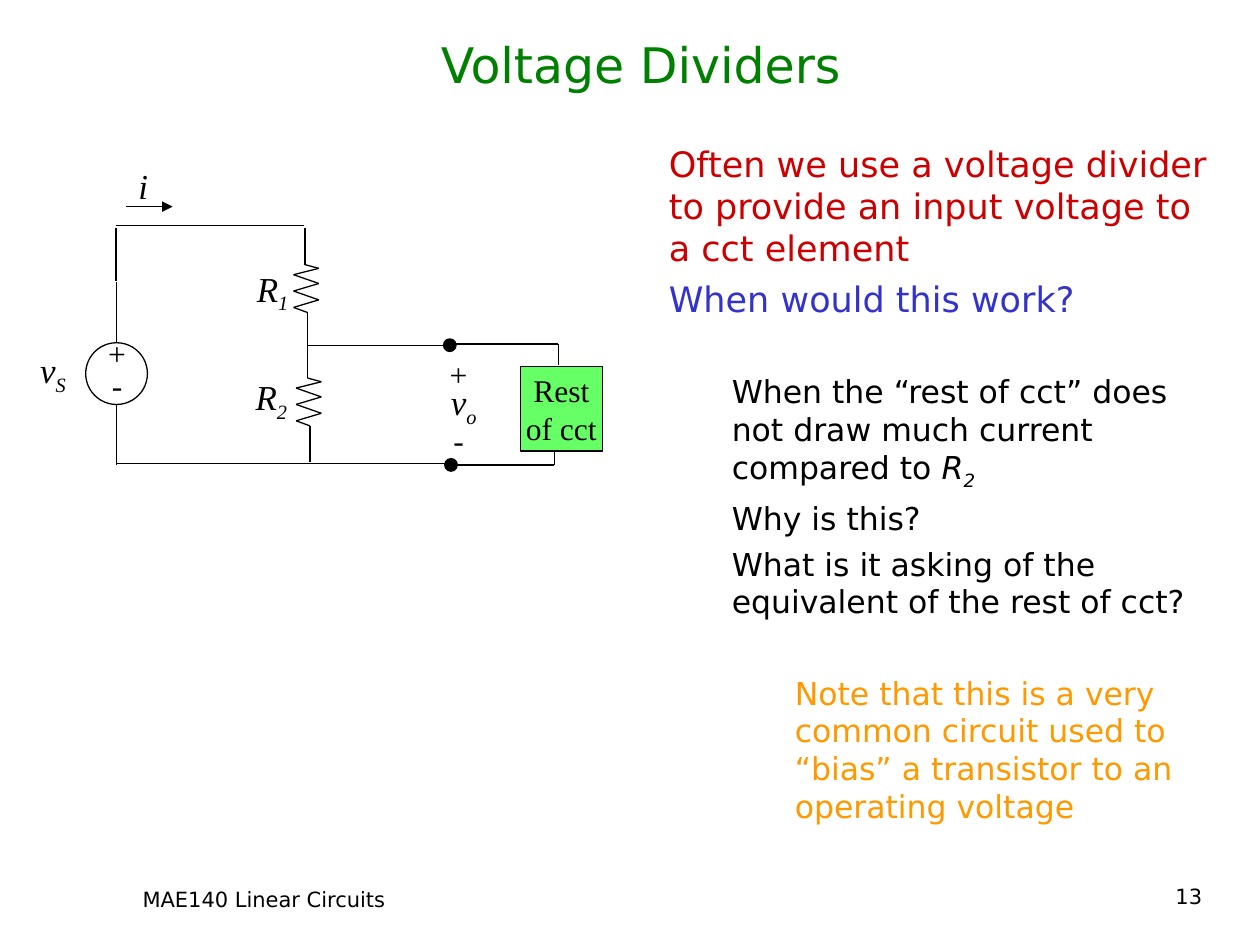
from itertools import pairwise
from lxml.etree import SubElement
from pptx import Presentation
from pptx.dml.color import RGBColor
from pptx.enum.shapes import MSO_CONNECTOR as Conn, MSO_SHAPE as Form
from pptx.enum.text import MSO_ANCHOR as Anchor, MSO_AUTO_SIZE as Fit, PP_ALIGN as Align
from pptx.oxml.ns import qn
from pptx.util import Inches, Pt

INK = {"black": "000000", "title": "008000", "red": "CC0000", "blue": "3333CC",
       "note": "FF9900", "load": "66FF66"}
SANS, SERIF = "DejaVu Sans", "Times New Roman"

# Grid: 100 columns by 75 rows; all places are (column, row)
COLS, ROWS = 100, 75
WIDE, HIGH = Inches(10), Inches(7.5)

# Runs are (text, style): "" plain, "i" italic, "s" italic subscript
# Body paragraphs: level, size, colour, space before, runs
BODY = [
    (0, 20, "red", 0, [("Often we use a voltage divider to provide an input "
                        "voltage to a cct element", "")]),
    (0, 20, "blue", 5, [("When would this work?", "")]),
    (1, 18, "black", 30.5, [("When the “rest of cct” does not draw much current "
                             "compared to ", ""), ("R", "i"), ("2", "s")]),
    (1, 18, "black", 4.5, [("Why is this?", "")]),
    (1, 18, "black", 4.5, [("What is it asking of the equivalent of the rest of cct?", "")]),
    (2, 18, "note", 30.5, [("Note that this is a very common circuit used to “bias” "
                            "a transistor to an operating voltage", "")]),
]

# Circuit labels: box, size, runs
LABELS = [
    ((7.6, 26, 3.4, 4), 18, [("+", "")]),
    ((34.7, 27.7, 3.4, 4), 18, [("+", "")]),
    ((7.9, 28.6, 2.8, 4), 18, [("-", "")]),
    ((35, 32.9, 2.8, 4), 18, [("-", "")]),
    ((2.2, 27.2, 4.5, 4.8), 20, [("v", "i"), ("S", "s")]),
    ((34.8, 29.7, 4.5, 4.8), 20, [("v", "i"), ("o", "s")]),
    ((19.3, 29.3, 4.6, 4.8), 20, [("R", "i"), ("2", "s")]),
    ((19.4, 20.7, 4.6, 4.8), 20, [("R", "i"), ("1", "s")]),
    ((10, 12.6, 2.7, 4.4), 20, [("i", "i")]),
]

# Wires as chains of points
WIRES = [
    [(9.2, 18.1), (9.2, 22.3)],
    [(9.25, 22.4), (9.25, 27.2)],
    [(9.25, 32.1), (9.25, 36.9)],
    [(9.2, 17.9), (24.1, 17.9)],
    [(9.3, 36.8), (35.3, 36.8)],
    [(24.4, 27.4), (35.3, 27.4)],
    [(36, 36.9), (44, 36.9), (44, 35.7)],
    [(35.6, 27.3), (44.3, 27.3), (44.3, 29)],
]
# Resistor: leads and zigzag, measured from its top end
ZIGZAG = [(0, 0), (0, 2.9), (1.1, 3.2), (-0.9, 3.7), (1.1, 4.4), (-0.9, 5),
          (1.1, 5.7), (-0.9, 6.3), (0.2, 6.7), (0.2, 9.6)]
TOPS = [(24.2, 18.1), (24.4, 27.1)]
SOURCE = (6.8, 27.2, 4.9, 4.9)
NODES = [(35.2, 26.9, 1, 1), (35.3, 36.4, 1, 1)]
LOAD = (41.3, 29.1, 6.5, 6.7)

deck = Presentation()
deck.slide_width, deck.slide_height = WIDE, HIGH
slide = deck.slides.add_slide(deck.slide_layouts[6])
items = slide.shapes


def tint(name):
    return RGBColor.from_string(INK[name])


def place(box):
    """Turn grid numbers (x, y, x, y ...) into slide lengths."""
    return [round(n * (HIGH / ROWS if k % 2 else WIDE / COLS)) for k, n in enumerate(box)]


def write(para, runs, size, font, color="black"):
    for text, style in runs:
        run = para.add_run()
        run.text = text
        face = run.font
        face.size, face.name = Pt(size), font
        face.color.rgb = tint(color)
        if style:
            face.italic = True
        if style == "s":
            run._r.get_or_add_rPr().set("baseline", "-25000")


def textbox(box, wrap=True):
    frame = items.add_textbox(*place(box)).text_frame
    frame.word_wrap = wrap
    frame.auto_size = Fit.NONE if wrap else Fit.SHAPE_TO_FIT_TEXT
    return frame


def wire(start, end):
    line = items.add_connector(Conn.STRAIGHT, *place(start + end))
    line.line.color.rgb = tint("black")
    line.line.width = Pt(0.75)
    SubElement(line._element.spPr, qn("a:effectLst"))
    return line


def solid(form, box, fill=None):
    shape = items.add_shape(form, *place(box))
    shape.shadow.inherit = False
    if fill:
        shape.fill.solid()
        shape.fill.fore_color.rgb = tint(fill)
    else:
        shape.fill.background()
    shape.line.color.rgb = tint("black")
    shape.line.width = Pt(0.75)
    return shape


# Title, footer and page number
for box, text, size, color, align in [
    ((4.2, 1.7, 93.3, 6.7), "Voltage Dividers", 28, "title", Align.CENTER),
    ((2, 69.9, 37.9, 3.2), "MAE140 Linear Circuits", 12, "black", Align.CENTER),
    ((75.6, 69.6, 20.8, 3.2), "13", 12, "black", Align.RIGHT),
]:
    frame = textbox(box)
    frame.vertical_anchor = Anchor.MIDDLE if color == "title" else Anchor.TOP
    para = frame.paragraphs[0]
    para.alignment = align
    write(para, [(text, "")], size, SANS, color)

# Body text
frame = textbox((52.1, 10.8, 45.4, 61.2))
for k, (level, size, color, gap, runs) in enumerate(BODY):
    para = frame.add_paragraph() if k else frame.paragraphs[0]
    para.level = level
    para.space_before = Pt(gap)
    props = para._p.get_or_add_pPr()
    props.set("marL", str(Inches(level * 0.5)))
    props.set("indent", "0")
    write(para, runs, size, SANS, color)

# Wires and resistors
chains = WIRES + [[(x + dx, y + dy) for dx, dy in ZIGZAG] for x, y in TOPS]
for chain in chains:
    for start, end in pairwise(chain):
        wire(start, end)

# Current arrow
arrow = wire((10, 16.4), (13.7, 16.4))
SubElement(arrow.line._get_or_add_ln(), qn("a:tailEnd"), type="triangle")

# Source, nodes and load
solid(Form.OVAL, SOURCE)
for box in NODES:
    solid(Form.OVAL, box, "black")
frame = solid(Form.RECTANGLE, LOAD, "load").text_frame
frame.word_wrap = False
frame.vertical_anchor = Anchor.MIDDLE
for k, text in enumerate(["Rest", "of cct"]):
    para = frame.add_paragraph() if k else frame.paragraphs[0]
    para.alignment = Align.CENTER
    write(para, [(text, "")], 18, SERIF)

# Circuit labels
for box, size, runs in LABELS:
    write(textbox(box, wrap=False).paragraphs[0], runs, size, SERIF)

deck.save("out.pptx")
